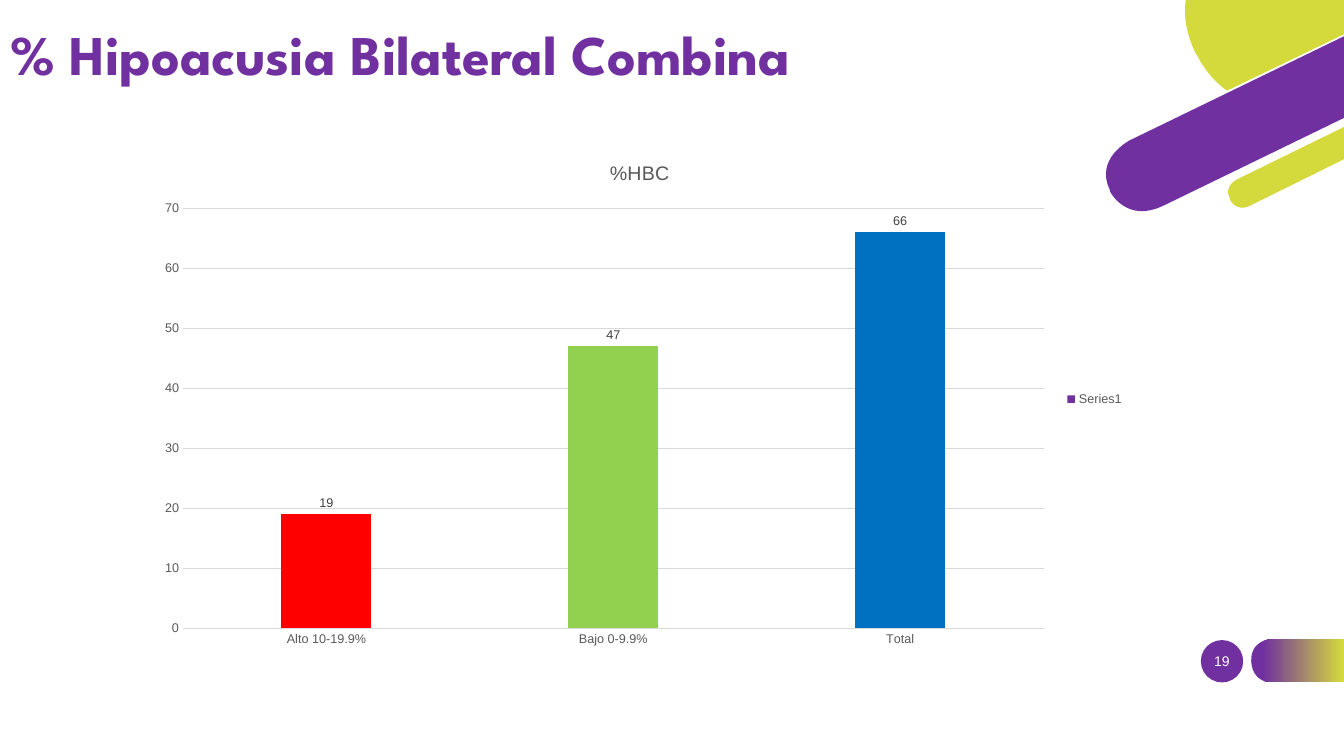
from pptx import Presentation
from pptx.chart.data import CategoryChartData
from pptx.dml.color import RGBColor
from pptx.enum.chart import XL_CHART_TYPE, XL_LABEL_POSITION, XL_LEGEND_POSITION, XL_TICK_MARK
from pptx.enum.shapes import MSO_SHAPE
from pptx.enum.text import MSO_ANCHOR, MSO_AUTO_SIZE, PP_ALIGN
from pptx.util import Pt

PX = 9144
STEPS = 16
COLUMN = XL_CHART_TYPE.COLUMN_CLUSTERED
ABOVE = XL_LABEL_POSITION.OUTSIDE_END
RIGHT = XL_LEGEND_POSITION.RIGHT
NONE = XL_TICK_MARK.NONE
OVAL = MSO_SHAPE.OVAL
MIDDLE = MSO_ANCHOR.MIDDLE
FIXED = MSO_AUTO_SIZE.NONE
LEFT, CENTER = PP_ALIGN.LEFT, PP_ALIGN.CENTER

PURPLE = RGBColor(0x70, 0x30, 0xA0)
LIME = RGBColor(0xD5, 0xDA, 0x3C)
WHITE = RGBColor(0xFF, 0xFF, 0xFF)
RED = RGBColor(0xFF, 0x00, 0x00)
GREEN = RGBColor(0x92, 0xD0, 0x50)
BLUE = RGBColor(0x00, 0x70, 0xC0)
GRAY = RGBColor(0x59, 0x59, 0x59)
DARK = RGBColor(0x40, 0x40, 0x40)
BLACK = RGBColor(0x00, 0x00, 0x00)
PALE = RGBColor(0xD9, 0xD9, 0xD9)

TITLE = "% Hipoacusia Bilateral Combina"
NUMBER = "19"
HEAD = "%HBC"
SERIES = "Series1"
BARS = [("Alto 10-19.9%", 19, RED), ("Bajo 0-9.9%", 47, GREEN), ("Total", 66, BLUE)]

SIZE = (1333, 750)
TITLE_BOX = (0, -6, 911, 126)
CHART_BOX = (144, 140, 981, 512)
DOT_BOX = (1191, 635, 42, 42)
NUMBER_BOX = (1182, 636, 60, 40)

TAB = [(1262, 677), (1333, 677), (1333, 634), (1262, 634),
       (1262, 634, 1241, 634, 1241, 655), (1241, 656),
       (1241, 656, 1241, 677, 1262, 677)]
DECOR = [
    (PURPLE, [(1121, 139), (1121, 139, 1085, 157, 1101, 189), (1101, 190),
              (1101, 190, 1117, 222, 1154, 204), (1333, 117), (1333, 36)]),
    (LIME, [(1188, 56), (1188, 56, 1197, 76, 1217, 90), (1333, 34), (1333, 0),
            (1176, 0), (1174, 15, 1176, 33, 1186, 53)]),
    (LIME, [(1333, 126), (1227, 178), (1227, 178, 1213, 185, 1220, 197),
            (1220, 198), (1220, 198, 1226, 211, 1240, 204), (1333, 158)]),
]

FORMATS = {
    "title": dict(name="League Spartan", size=Pt(40), bold=True, color=PURPLE),
    "number": dict(name="Arial", size=Pt(10), color=WHITE),
    "chart": dict(name="Arial", size=Pt(10), color=BLACK),
    "head": dict(name="Arial", size=Pt(14), bold=False, color=GRAY),
    "axis": dict(name="Arial", size=Pt(9), color=GRAY),
    "label": dict(name="Arial", size=Pt(9), color=DARK),
}


def put(item, values):
    for key, value in values.items():
        if key == "color":
            item.color.rgb = value
        else:
            setattr(item, key, value)


def scale(box):
    return [n * PX for n in box]


def trace(parts):
    points = [parts[0]]
    for part in parts[1:]:
        if len(part) == 2:
            points.append(part)
            continue
        knots = [points[-1], part[:2], part[2:4], part[4:]]
        for step in range(1, STEPS + 1):
            t = step / STEPS
            u = 1 - t
            rates = (u ** 3, 3 * u * u * t, 3 * u * t * t, t ** 3)
            points.append(tuple(sum(r * k[i] for r, k in zip(rates, knots)) for i in (0, 1)))
    return [scale(p) for p in points]


def plain(shape, color=None):
    shape.shadow.inherit = False
    shape.line.fill.background()
    if color is not None:
        shape.fill.solid()
        shape.fill.fore_color.rgb = color


def outline(slide, parts, color=None):
    first, *rest = trace(parts)
    pen = slide.shapes.build_freeform(*first, scale=1)
    pen.add_line_segments(rest, close=True)
    shape = pen.convert_to_shape()
    plain(shape, color)
    return shape


def write(shape, text, align, style):
    frame = shape.text_frame
    put(frame, dict(text=text, word_wrap=True, auto_size=FIXED, vertical_anchor=MIDDLE))
    line = frame.paragraphs[0]
    line.alignment = align
    put(line.runs[0].font, FORMATS[style])
    return line


def draw(slide):
    data = CategoryChartData()
    data.categories = [bar[0] for bar in BARS]
    data.add_series(SERIES, [bar[1] for bar in BARS])
    chart = slide.shapes.add_chart(COLUMN, *scale(CHART_BOX), data).chart
    put(chart.font, FORMATS["chart"])
    chart.has_title = True
    head = chart.chart_title.text_frame
    head.text = HEAD
    put(head.paragraphs[0].runs[0].font, FORMATS["head"])
    chart.has_legend = True
    put(chart.legend, dict(position=RIGHT, include_in_layout=False))
    put(chart.legend.font, FORMATS["axis"])

    for axis in (chart.category_axis, chart.value_axis):
        put(axis, dict(major_tick_mark=NONE, minor_tick_mark=NONE))
        put(axis.tick_labels.font, FORMATS["axis"])
    rows = chart.value_axis
    put(rows, dict(minimum_scale=0, maximum_scale=70, major_unit=10, has_major_gridlines=True))
    rows.format.line.fill.background()
    for line in (chart.category_axis.format.line, rows.major_gridlines.format.line):
        put(line, dict(width=Pt(0.75), color=PALE))

    plot = chart.plots[0]
    put(plot, dict(gap_width=219, overlap=-27, vary_by_categories=False))
    series = plot.series[0]
    series.format.fill.solid()
    series.format.fill.fore_color.rgb = PURPLE
    for i, bar in enumerate(BARS):
        fill = series.points[i].format.fill
        fill.solid()
        fill.fore_color.rgb = bar[2]
    labels = series.data_labels
    put(labels, dict(show_value=True, position=ABOVE))
    put(labels.font, FORMATS["label"])


def main():
    deck = Presentation()
    deck.slide_width, deck.slide_height = scale(SIZE)
    slide = deck.slides.add_slide(deck.slide_layouts[5])

    plain(slide.shapes.add_shape(OVAL, *scale(DOT_BOX)), PURPLE)
    fill = outline(slide, TAB).fill
    fill.gradient()
    fill.gradient_angle = 0
    for stop, place, color in zip(fill.gradient_stops, (0.12, 1), (PURPLE, LIME)):
        stop.position = place
        stop.color.rgb = color
    for color, parts in DECOR:
        outline(slide, parts, color)

    write(slide.shapes.add_textbox(*scale(NUMBER_BOX)), NUMBER, CENTER, "number")
    title = slide.shapes.title
    put(title, dict(zip(("left", "top", "width", "height"), scale(TITLE_BOX))))
    write(title, TITLE, LEFT, "title").line_spacing = 0.9
    draw(slide)
    deck.save("out.pptx")


if __name__ == "__main__":
    main()
